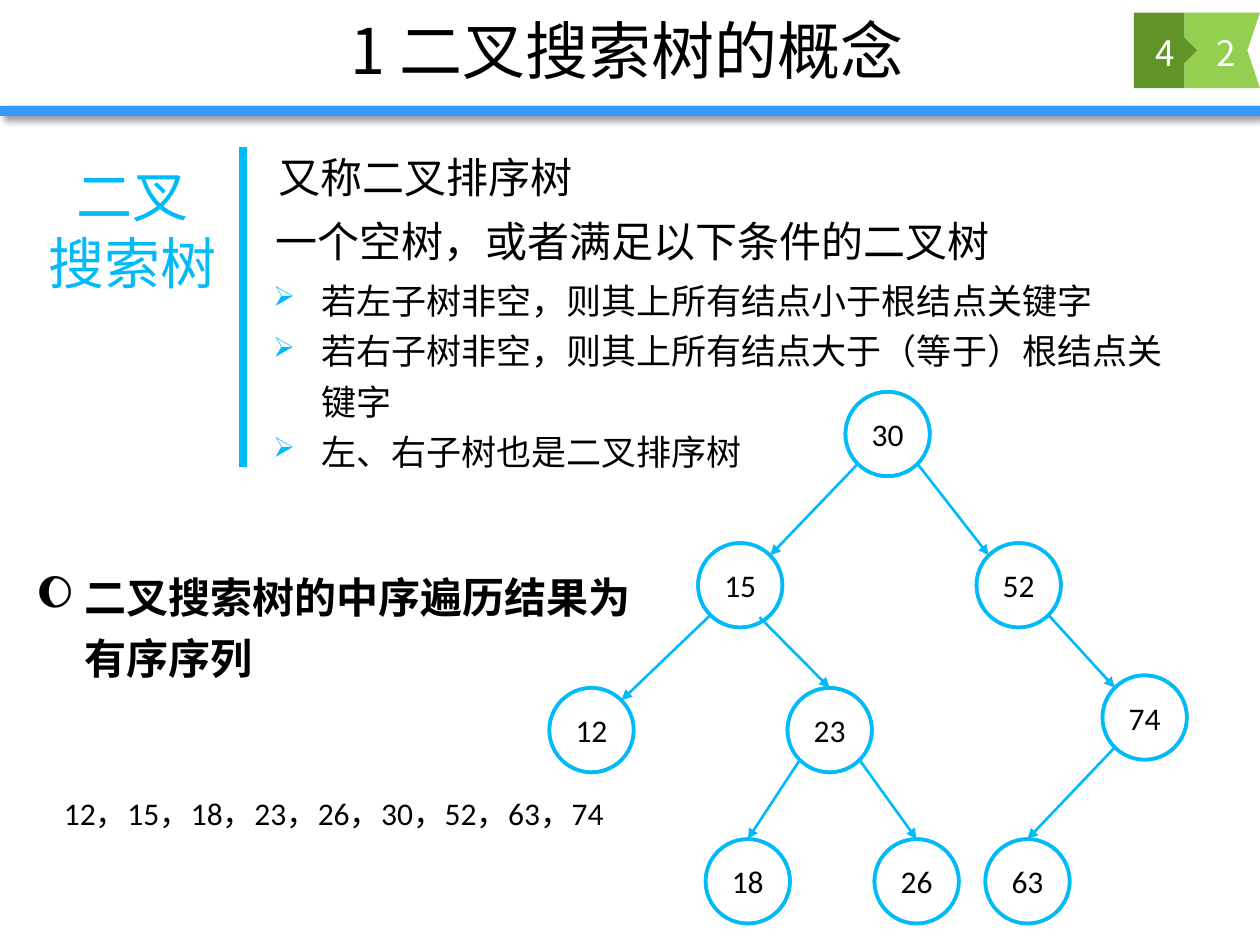
from lxml import etree
from pptx import Presentation
from pptx.dml.color import RGBColor
from pptx.enum.shapes import MSO_CONNECTOR, MSO_SHAPE
from pptx.enum.text import MSO_ANCHOR, PP_ALIGN
from pptx.oxml.ns import qn
from pptx.util import Inches, Pt

STRAIGHT = MSO_CONNECTOR.STRAIGHT
RECT, ROUNDED, DONUT = MSO_SHAPE.RECTANGLE, MSO_SHAPE.ROUNDED_RECTANGLE, MSO_SHAPE.DONUT
TOP, MIDDLE = MSO_ANCHOR.TOP, MSO_ANCHOR.MIDDLE
LEFT, CENTER = PP_ALIGN.LEFT, PP_ALIGN.CENTER
CJK, LATIN = "Noto Sans CJK SC", "Calibri"
COLORS = {"bar": "3399FF", "light": "93D050", "dark": "619428",
          "cyan": "01BAF8", "black": "000000", "white": "FFFFFF"}

prs = Presentation()
prs.slide_width, prs.slide_height = Inches(10), Inches(7.5)
slide = prs.slides.add_slide(prs.slide_layouts[5])
shapes = slide.shapes
CELL = prs.slide_width / 100  # the slide is a grid of 100 columns by 75 rows


def write(shape, lines, size, font=CJK, color="black", align=LEFT, anchor=TOP,
          spacing=None, bold=False, bullet=None):
    """Fill a shape with paragraphs; bullet is (character, size %, colour)."""
    frame = shape.text_frame
    frame.word_wrap, frame.vertical_anchor = True, anchor
    for i, line in enumerate(lines):
        paragraph = frame.paragraphs[0] if i == 0 else frame.add_paragraph()
        paragraph.alignment = align
        if spacing:
            paragraph.line_spacing = spacing
        if bullet:
            char, percent, bullet_color = bullet
            props = paragraph._p.get_or_add_pPr()
            props.set("marL", str(Inches(0.38)))
            props.set("indent", str(-Inches(0.38)))
            tint = etree.SubElement(props, qn("a:buClr"))
            etree.SubElement(tint, qn("a:srgbClr"), val=COLORS[bullet_color])
            etree.SubElement(props, qn("a:buSzPct"), val=str(percent * 1000))
            etree.SubElement(props, qn("a:buChar"), char=char)
        run = paragraph.add_run()
        run.text = line
        run.font.size, run.font.bold, run.font.name = Pt(size), bold, font
        run.font.color.rgb = RGBColor.from_string(COLORS[color])
        if font == CJK:
            etree.SubElement(run._r.get_or_add_rPr(), qn("a:ea"), typeface=CJK)


def draw_line(start, end, width, arrow=False):
    """Draw a straight cyan line between two grid points."""
    line = shapes.add_connector(STRAIGHT, *(round(n * CELL) for n in (*start, *end)))
    line.line.color.rgb = RGBColor.from_string(COLORS["cyan"])
    line.line.width = Pt(width)
    if arrow:
        etree.SubElement(line.line._get_or_add_ln(), qn("a:tailEnd"), type="triangle")
    etree.SubElement(line._element.spPr, qn("a:effectLst"))


# Header bar with its soft shadow
header_bar = shapes.add_shape(RECT, 0, round(8.4 * CELL), prs.slide_width, round(0.8 * CELL))
header_bar.fill.solid()
header_bar.fill.fore_color.rgb = RGBColor.from_string(COLORS["bar"])
header_bar.line.fill.background()
effects = etree.SubElement(header_bar._element.spPr, qn("a:effectLst"))
shadow = etree.SubElement(effects, qn("a:outerShdw"), blurRad=str(Pt(4)), dist=str(Pt(3)),
                          dir="2700000", algn="tl", rotWithShape="0")
shade = etree.SubElement(shadow, qn("a:srgbClr"), val=COLORS["black"])
etree.SubElement(shade, qn("a:alpha"), val="40000")

# Page badge: two interlocking plates, then their digits
plates = [
    ("light", [(93.8, 1), (99.8, 1), (99.4, 4.4), (99.8, 7.3), (93.8, 7.3)]),
    ("dark", [(89.9, 1), (94.3, 1), (94.3, 3.4), (95.3, 4.2), (94.3, 4.9),
              (94.3, 7.3), (89.9, 7.3)]),
]
for plate_color, points in plates:
    builder = shapes.build_freeform(*points[0], scale=CELL)
    builder.add_line_segments(points[1:], close=True)
    plate = builder.convert_to_shape()
    plate.fill.solid()
    plate.fill.fore_color.rgb = RGBColor.from_string(COLORS[plate_color])
    plate.line.fill.background()
    plate.shadow.inherit = False
for digit, left in (("2", 94.2), ("4", 89.4)):
    page_digit = shapes.add_textbox(*(round(n * CELL) for n in (left, 1, 6.2, 6.3)))
    write(page_digit, [digit], 20, color="white", align=CENTER, anchor=MIDDLE)

# Title
title = shapes.title
title.left, title.top, title.width, title.height = (
    round(n * CELL) for n in (9.8, 0.1, 79.9, 7.7))
write(title, ["1 二叉搜索树的概念"], 36, align=CENTER, anchor=MIDDLE)

# Search tree: node centres, and edges with their ends as shares of the radius
RADIUS = 3.35
nodes = {30: (70.45, 34.45), 15: (58.75, 46.45), 52: (80.85, 46.45),
         12: (46.95, 57.95), 23: (65.85, 57.95), 74: (90.85, 56.95),
         18: (59.35, 69.95), 26: (72.75, 69.95), 63: (81.55, 69.95)}
DIAG = 0.71
UP_LEFT, UP_RIGHT, UP = (-DIAG, -DIAG), (DIAG, -DIAG), (0, -1)
DOWN_LEFT, DOWN_RIGHT, DOWN_INNER = (-DIAG, DIAG), (DIAG, DIAG), (0.46, 0.76)
edges = [(30, DOWN_LEFT, 15, UP_RIGHT), (30, DOWN_RIGHT, 52, UP_LEFT),
         (15, DOWN_LEFT, 12, UP_RIGHT), (15, DOWN_INNER, 23, UP),
         (52, DOWN_RIGHT, 74, UP_LEFT), (74, DOWN_LEFT, 63, UP),
         (23, DOWN_LEFT, 18, UP), (23, DOWN_RIGHT, 26, UP)]
for key, (x, y) in nodes.items():
    node = shapes.add_shape(DONUT, *(round(n * CELL) for n in (
        x - RADIUS, y - RADIUS, 2 * RADIUS, 2 * RADIUS)))
    node.adjustments[0] = 0
    node.fill.solid()
    node.fill.fore_color.rgb = RGBColor.from_string(COLORS["dark"])
    node.line.color.rgb = RGBColor.from_string(COLORS["cyan"])
    node.line.width = Pt(2)
    node.shadow.inherit = False
    write(node, [str(key)], 18, LATIN, align=CENTER, anchor=MIDDLE)
    node.text_frame.margin_left = node.text_frame.margin_right = 0
for parent, leave, child, arrive in edges:
    start, end = ([c + RADIUS * share for c, share in zip(nodes[key], side)]
                  for key, side in ((parent, leave), (child, arrive)))
    draw_line(start, end, 1.5, arrow=True)

# In-order traversal: statement and resulting sequence
traversal = shapes.add_textbox(*(round(n * CELL) for n in (1.9, 44.1, 50.8, 10.7)))
write(traversal, ["二叉搜索树的中序遍历结果为有序序列"], 24, spacing=1.2, bold=True,
      bullet=("🌔", 86, "black"))
sequence = shapes.add_textbox(*(round(n * CELL) for n in (4.1, 62.5, 45.3, 4)))
write(sequence, ["，".join(str(key) for key in sorted(nodes))], 18, LATIN)

# Definition: term, divider, statements and conditions
term = shapes.add_shape(ROUNDED, *(round(n * CELL) for n in (1.9, 11.7, 17.3, 13)))
term.fill.background()
term.line.fill.background()
term.shadow.inherit = False
write(term, ["二叉", "搜索树"], 32, color="cyan", align=CENTER)
draw_line((19.3, 11.7), (19.3, 37.1), 4.5)
for statement, left, top in (("又称二叉排序树", 21.1, 10.7),
                             ("一个空树，或者满足以下条件的二叉树", 20.9, 15.8)):
    definition = shapes.add_textbox(*(round(n * CELL) for n in (left, top, 72.6, 5.4)))
    write(definition, [statement], 24, spacing=1.2)
conditions = shapes.add_textbox(*(round(n * CELL) for n in (20.7, 21, 72.6, 17.2)))
write(conditions, ["若左子树非空，则其上所有结点小于根结点关键字",
                   "若右子树非空，则其上所有结点大于（等于）根结点关键字",
                   "左、右子树也是二叉排序树"],
      20, spacing=1.2, bullet=("➢", 80, "cyan"))

prs.save("out.pptx")
